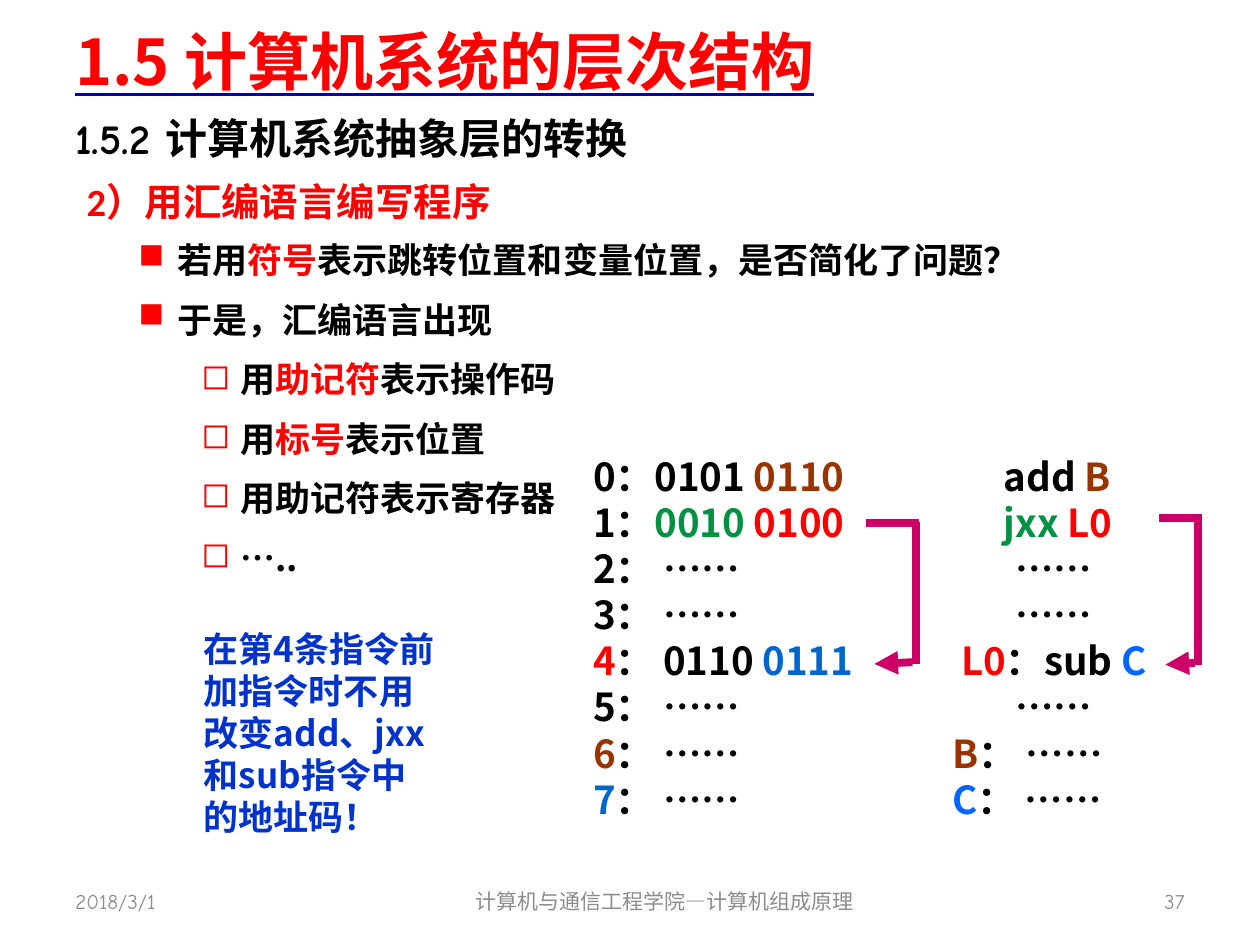
from dataclasses import dataclass

import pptx
import pptx.dml.color
import pptx.enum.shapes
import pptx.enum.text
import pptx.oxml
import pptx.oxml.ns
import pptx.util
from lxml import etree

Pt = pptx.util.Pt
ALIGN = pptx.enum.text.PP_ALIGN
ANCHOR = pptx.enum.text.MSO_ANCHOR


@dataclass(frozen=True)
class Theme:
    cjk: str = "Noto Sans CJK SC"
    comic: str = "Comic Neue"
    calibri: str = "Calibri"
    black: str = "000000"
    red: str = "FF0000"
    brown: str = "993300"
    green: str = "009242"
    blue: str = "0066CC"
    bright_blue: str = "0066FF"
    note_blue: str = "0033CC"
    underline: str = "0000CC"
    arrow: str = "CC0066"
    gray: str = "8C8C8C"
    title_size: float = 36
    section_size: float = 24
    code_size: float = 22
    body_size: float = 20
    footer_size: float = 12
    arrow_width: float = 4.5


THEME = Theme()


def sub_element(parent, tag, **attributes):
    return etree.SubElement(parent, pptx.oxml.ns.qn(tag), attributes)


def add_text_frame(slide, left, top, width, height, anchor=ANCHOR.TOP):
    box = slide.shapes.add_textbox(Pt(left), Pt(top), Pt(width), Pt(height))
    frame = box.text_frame
    frame.word_wrap = True
    frame.vertical_anchor = anchor
    return frame


def next_paragraph(frame):
    first = frame.paragraphs[0]
    return frame.add_paragraph() if first.runs else first


def add_runs(paragraph, runs, size, font=THEME.cjk, bold=True):
    for text, color in runs:
        run = paragraph.add_run()
        run.text = text
        run.font.size = Pt(size)
        run.font.bold = bold
        run.font.name = font
        run.font.color.rgb = pptx.dml.color.RGBColor.from_string(color)
        sub_element(run._r.get_or_add_rPr(), "a:ea", typeface=THEME.cjk)


def indent(paragraph, margin, hanging=0):
    properties = paragraph._p.get_or_add_pPr()
    properties.set("marL", str(Pt(margin)))
    properties.set("indent", str(-Pt(hanging)))
    return properties


def add_title(slide):
    frame = add_text_frame(slide, 36, 3.6, 648, 61.2, ANCHOR.MIDDLE)
    paragraph = frame.paragraphs[0]
    add_runs(paragraph, [("1.5 计算机系统的层次结构", THEME.red)], THEME.title_size)
    font = paragraph.runs[0].font
    font.underline = True
    properties = paragraph.runs[0]._r.get_or_add_rPr()
    underline = pptx.oxml.parse_xml(
        f'<a:uFill {pptx.oxml.ns.nsdecls("a")}><a:solidFill>'
        f'<a:srgbClr val="{THEME.underline}"/></a:solidFill></a:uFill>')
    properties.find(pptx.oxml.ns.qn("a:latin")).addprevious(underline)


def add_bullet(frame, runs, level, space_before=4):
    margin, hanging, symbol = {1: (58.3, 22.3, "■"), 2: (94.3, 22.3, "◻")}[level]
    paragraph = next_paragraph(frame)
    properties = indent(paragraph, margin, hanging)
    properties.set("lvl", str(level))
    paragraph.line_spacing = Pt(30)
    paragraph.space_before = Pt(space_before)
    color = sub_element(properties, "a:buClr")
    sub_element(color, "a:srgbClr", val=THEME.red)
    sub_element(properties, "a:buChar", char=symbol)
    add_runs(paragraph, runs, THEME.body_size)


def add_body(slide):
    black, red = THEME.black, THEME.red
    frame = add_text_frame(slide, 36, 60.5, 648, 402.5)
    section = frame.paragraphs[0]
    section.line_spacing = Pt(28.8)
    add_runs(section, [("1.5.2 计算机系统抽象层的转换", black)],
             THEME.section_size, THEME.comic)
    add_bullet(frame, [("若用", black), ("符号", red),
                       ("表示跳转位置和变量位置，是否简化了问题？", black)], 1, 37.6)
    add_bullet(frame, [("于是，汇编语言出现", black)], 1)
    add_bullet(frame, [("用", black), ("助记符", red), ("表示操作码", black)], 2)
    add_bullet(frame, [("用", black), ("标号", red), ("表示位置", black)], 2)
    add_bullet(frame, [("用助记符表示寄存器", black)], 2)
    add_bullet(frame, [("…..", black)], 2)

    heading = add_text_frame(slide, 42.5, 94.3, 648, 34.6).paragraphs[0]
    heading.line_spacing = 1.15
    add_runs(heading, [("2）用汇编语言编写程序", red)], THEME.code_size, THEME.calibri)


def add_listing(slide, left, width, lines):
    frame = add_text_frame(slide, left, 255.6, width, 218.2)
    for margin, runs in lines:
        paragraph = next_paragraph(frame)
        indent(paragraph, margin)
        paragraph.line_spacing = Pt(26.3)
        add_runs(paragraph, runs, THEME.code_size)


def add_line(slide, start, end, arrowhead=False):
    line = slide.shapes.add_connector(
        pptx.enum.shapes.MSO_CONNECTOR.STRAIGHT, *map(Pt, start + end))
    line.line.color.rgb = pptx.dml.color.RGBColor.from_string(THEME.arrow)
    line.line.width = Pt(THEME.arrow_width)
    if arrowhead:
        sub_element(line.line._get_or_add_ln(), "a:tailEnd", type="triangle")
    sub_element(line._element.spPr, "a:effectLst")


def add_jump(slide, left, right, top, bottom, tip):
    add_line(slide, (left, top), (right + 2, top))
    add_line(slide, (right, top - 0.5), (right, bottom))
    add_line(slide, (right - 2, bottom - 1), (tip, bottom), True)


def add_note(slide):
    paragraph = add_text_frame(slide, 109.4, 355, 149, 128.2).paragraphs[0]
    paragraph.line_spacing = Pt(24)
    text = "在第4条指令前加指令时不用改变add、jxx和sub指令中的地址码！"
    add_runs(paragraph, [(text, THEME.note_blue)], THEME.body_size)


def add_footer(slide, left, width, text, alignment):
    frame = add_text_frame(slide, left, 500.4, width, 28.8, ANCHOR.MIDDLE)
    paragraph = frame.paragraphs[0]
    paragraph.alignment = alignment
    add_runs(paragraph, [(text, THEME.gray)], THEME.footer_size, THEME.comic, False)


def main():
    presentation = pptx.Presentation()
    presentation.slide_width, presentation.slide_height = Pt(720), Pt(540)
    slide = presentation.slides.add_slide(presentation.slide_layouts[6])
    black, red, brown, green = THEME.black, THEME.red, THEME.brown, THEME.green
    blue, bright_blue = THEME.blue, THEME.bright_blue
    dots = "： ……"

    add_title(slide)
    add_body(slide)
    add_listing(slide, 331.9, 190.8, [
        (0, [("0：0101 ", black), ("0110", brown)]),
        (0, [("1：", black), ("0010 ", green), ("0100", red)]),
        (0, [("2" + dots, black)]),
        (0, [("3" + dots, black)]),
        (0, [("4", red), ("： 0110 ", black), ("0111", blue)]),
        (0, [("5" + dots, black)]),
        (0, [("6", brown), (dots, black)]),
        (0, [("7", blue), (dots, black)]),
    ])
    add_jump(slide, 494.6, 523.4, 298.8, 379.4, 499.7)
    ellipsis = (36, [("……", black)])
    add_listing(slide, 537.1, 147.6, [
        (29.5, [("add ", black), ("B", brown)]),
        (29.5, [("jxx ", green), ("L0", red)]),
        ellipsis,
        ellipsis,
        (5, [("L0", red), ("：sub ", black), ("C", bright_blue)]),
        ellipsis,
        (0, [("B", brown), (dots, black)]),
        (0, [("C", bright_blue), (dots, black)]),
    ])
    add_jump(slide, 662.4, 684.7, 295.9, 379.8, 666)
    add_note(slide)
    add_footer(slide, 36, 168, "2018/3/1", ALIGN.LEFT)
    add_footer(slide, 246.2, 267.1, "计算机与通信工程学院—计算机组成原理", ALIGN.CENTER)
    add_footer(slide, 516.2, 167.8, "37", ALIGN.RIGHT)
    presentation.save("out.pptx")


if __name__ == "__main__":
    main()
